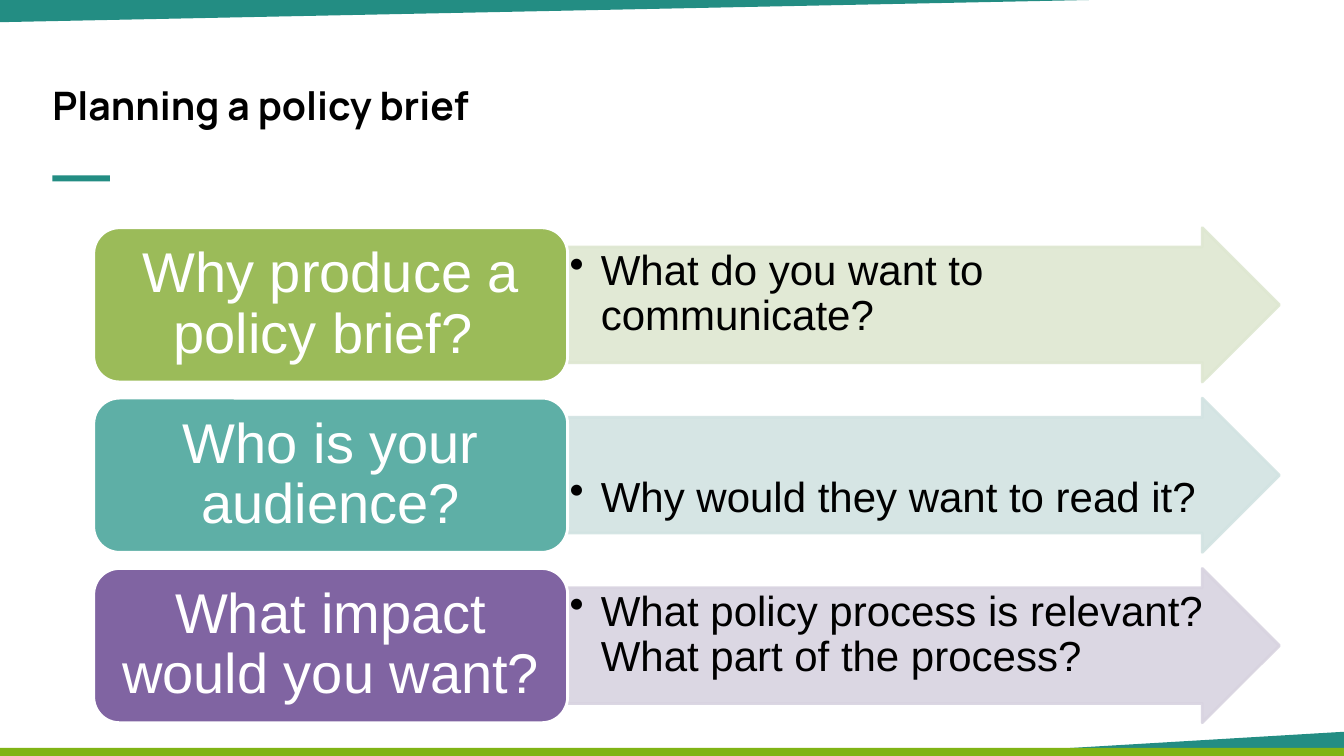
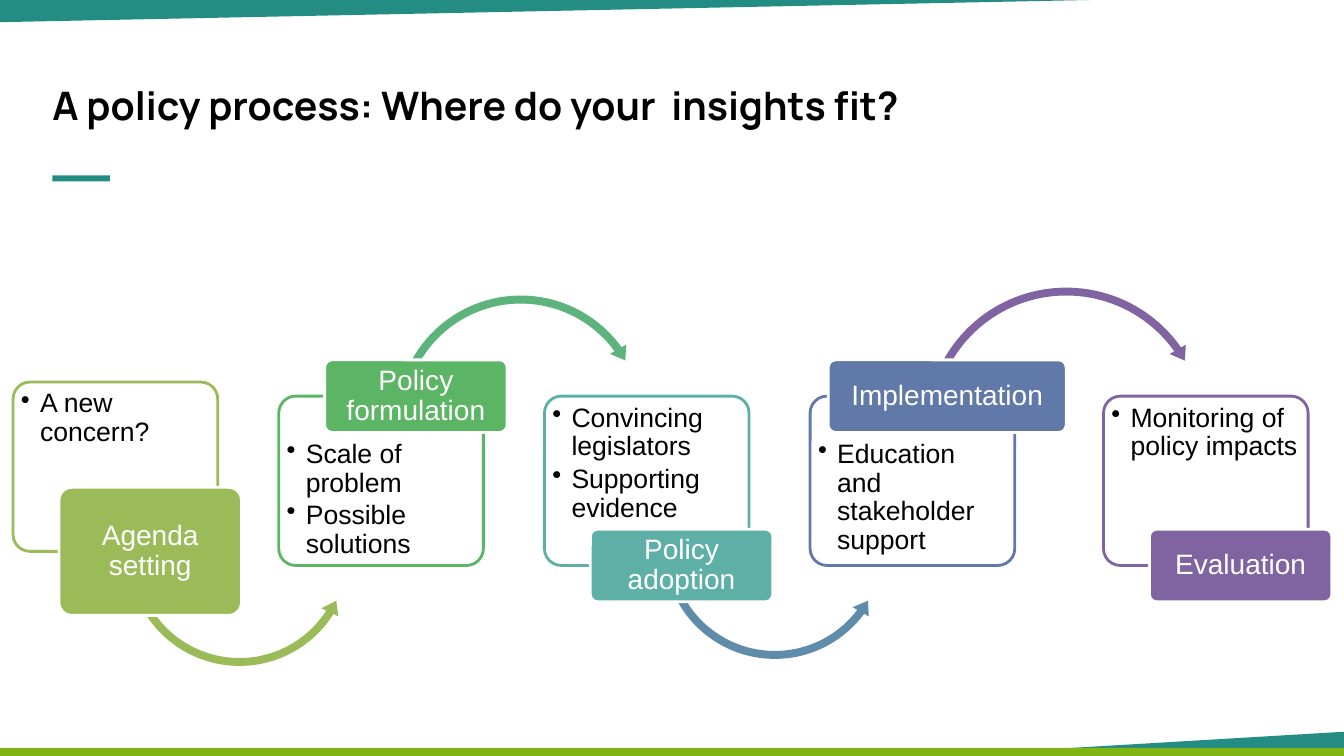
from dataclasses import dataclass

from lxml.etree import SubElement
from pptx import Presentation
from pptx.dml.color import RGBColor
from pptx.enum.shapes import MSO_SHAPE as Shape
from pptx.enum.text import MSO_ANCHOR as Anchor, MSO_AUTO_SIZE as AutoSize, PP_ALIGN as Align
from pptx.oxml.ns import qn
from pptx.util import Inches, Pt


@dataclass(frozen=True)
class Theme:
    teal: str = "238D83"
    band_green: str = "80B415"
    white: str = "FFFFFF"
    black: str = "000000"
    olive: str = "9BBB59"
    leaf: str = "5CB565"
    mint: str = "5CB37C"
    sea: str = "5EAFA6"
    steel: str = "608CAB"
    blue: str = "6179A8"
    purple: str = "8064A2"
    pale_olive: str = "DEE7D1"
    pale_sea: str = "D2E3E2"
    pale_purple: str = "D8D3E0"
    title_font: str = "Manrope"
    body_font: str = "Arial"
    title_size: int = 28
    question_size: int = 40
    answer_size: int = 30
    label_size: int = 20
    card_size: int = 19
    outline: int = 2


THEME = Theme()

PLANNING_TITLE = "Planning a policy brief"
# question, answer, top inset of the answer, question colour, arrow colour
QUESTIONS = [
    ("Why produce a policy brief? ", "What do you want to communicate?", 0.02,
     THEME.olive, THEME.pale_olive),
    ("Who is your audience?", "Why would they want to read it?", 0.58,
     THEME.sea, THEME.pale_sea),
    ("What impact would you want?",
     "What policy process is relevant? What part of the process?", 0.02,
     THEME.purple, THEME.pale_purple),
]

PROCESS_TITLE = "A policy process: Where do your  insights fit?"
# label, bullets, colour, card top, label at top of card, label width, label height
STAGES = [
    ("Agenda setting", ["A new concern?"], THEME.olive, 3.79, False, 1.81, 1.27),
    ("Policy formulation", ["Scale of problem", "Possible solutions"],
     THEME.leaf, 3.93, True, 1.81, 0.72),
    ("Policy adoption", ["Convincing legislators", "Supporting evidence"],
     THEME.sea, 3.93, False, 1.81, 0.72),
    ("Implementation", ["Education and stakeholder support"],
     THEME.blue, 3.93, True, 2.36, 0.72),
    ("Evaluation", ["Monitoring of policy impacts"],
     THEME.purple, 3.93, False, 1.81, 0.72),
]
# One arrow after each stage but the last: left, top, size, colour,
# then band thickness, head angle, end angle, start angle, head width
ARROWS = [
    (1.22, 4.35, 2.31, THEME.olive, (0.034, 7.07, 32.41, 146.16, 0.04)),
    (3.88, 2.88, 2.57, THEME.mint, (0.031, 6.32, 324.09, 209.59, 0.036)),
    (6.53, 4.28, 2.31, THEME.steel, (0.034, 7.09, 36.68, 150.41, 0.04)),
    (9.13, 2.8, 2.89, THEME.purple, (0.027, 5.57, 324.84, 209.59, 0.032)),
]
ANGLE_UNIT = 0.6  # adjustment value of one degree


def paint(shape, fill, line=None):
    shape.shadow.inherit = False
    shape.fill.solid()
    shape.fill.fore_color.rgb = RGBColor.from_string(fill)
    if line:
        shape.line.color.rgb = RGBColor.from_string(line)
        shape.line.width = Pt(THEME.outline)
    else:
        shape.line.fill.background()


def add_shape(slide, kind, box, fill, line=None, adjustments=()):
    shape = slide.shapes.add_shape(kind, *map(Inches, box))
    for index, value in enumerate(adjustments):
        shape.adjustments[index] = value
    paint(shape, fill, line)
    return shape


def add_polygon(slide, points, fill):
    start, *others = [(Inches(x), Inches(y)) for x, y in points]
    builder = slide.shapes.build_freeform(*start)
    builder.add_line_segments(others, close=True)
    shape = builder.convert_to_shape()
    paint(shape, fill)
    return shape


def set_opacity(shape, percent):
    for color in shape.element.spPr.iter(qn("a:srgbClr")):
        SubElement(color, qn("a:alpha"), val=str(percent * 1000))


def style_run(run, font, size, color, bold=False):
    run.font.name = font
    run.font.size = Pt(size)
    run.font.bold = bold
    run.font.color.rgb = RGBColor.from_string(color)


def write(shape, lines, size, color, insets, bullet_indent=None):
    """Fill a shape with centred text, or with a top-aligned list if bullet_indent is set."""
    frame = shape.text_frame
    frame.word_wrap = True
    frame.margin_left, frame.margin_top, frame.margin_right, frame.margin_bottom = map(
        Inches, insets)
    frame.vertical_anchor = Anchor.TOP if bullet_indent else Anchor.MIDDLE
    frame.text = "\n".join(lines)
    for paragraph in frame.paragraphs:
        paragraph.alignment = Align.LEFT if bullet_indent else Align.CENTER
        paragraph.line_spacing = 0.9
        if bullet_indent:
            paragraph.space_after = Pt(size * 0.15)
            properties = paragraph._p.get_or_add_pPr()
            properties.set("marL", str(Inches(bullet_indent)))
            properties.set("indent", str(-Inches(bullet_indent)))
            SubElement(properties, qn("a:buChar"), char="•")
        for run in paragraph.runs:
            style_run(run, THEME.body_font, size, color)


def add_titled_slide(presentation, layout, title):
    slide = presentation.slides.add_slide(layout)
    frame = slide.shapes.title.text_frame
    frame.text = title
    frame.word_wrap = True
    frame.auto_size = AutoSize.NONE
    frame.vertical_anchor = Anchor.MIDDLE
    frame.margin_left = frame.margin_right = Inches(0.13)
    frame.margin_top = frame.margin_bottom = Inches(0.07)
    paragraph = frame.paragraphs[0]
    paragraph.alignment = Align.LEFT
    style_run(paragraph.runs[0], THEME.title_font, THEME.title_size, THEME.black, bold=True)
    return slide


def place_title(layout):
    title = layout.placeholders[0]
    title.left, title.top, title.width, title.height = map(Inches, (0.39, 0.74, 9.45, 0.61))


def decorate_layout(layout, slide):
    """Draw the bands and the accent bar on a slide, then move them to its layout."""
    decorations = [
        add_polygon(slide, [(9.96, 7.46), (13.33, 7.46), (13.33, 7.26)], THEME.teal),
        add_shape(slide, Shape.RECTANGLE, (0, 7.42, 13.33, 0.08), THEME.band_green),
        add_polygon(slide, [(0, 0), (10.8, 0), (0, 0.22)], THEME.teal),
        add_shape(slide, Shape.RECTANGLE, (0.52, 1.74, 0.57, 0.06), THEME.teal),
    ]
    for number, shape in enumerate(decorations, start=101):
        shape.element.nvSpPr.cNvPr.set("id", str(number))
        layout.shapes.element.append(shape.element)


def draw_questions(slide):
    left, top, height, pitch = 0.93, 2.26, 1.53, 1.69
    question_width, arrow_width = 4.7, 7.06
    for row, (question, answer, answer_inset, color, pale) in enumerate(QUESTIONS):
        y = top + row * pitch
        arrow = add_shape(slide, Shape.RIGHT_ARROW,
                          (left + question_width, y, arrow_width, height),
                          pale, pale, (0.75, 0.5))
        set_opacity(arrow, 90)
        write(arrow, [answer], THEME.answer_size, THEME.black,
              (0.02, answer_inset, 0.02, 0.02), bullet_indent=0.31)
        box = add_shape(slide, Shape.ROUNDED_RECTANGLE,
                        (left, y, question_width, height), color, THEME.white)
        write(box, [question], THEME.question_size, THEME.white, (0.17, 0.08, 0.17, 0.08))


def draw_turn_arrow(slide, kind, left, top, size, color, geometry):
    thickness, *angles, head_width = geometry
    adjustments = [thickness, *(angle * ANGLE_UNIT for angle in angles), head_width]
    add_shape(slide, kind, (left, top, size, size), color, adjustments=adjustments)


def draw_process(slide):
    card_width, card_height, corner = 2.03, 1.68, (0.1,)
    label_center, gap = 1.36, 0.37
    left = 0.13
    for index, (label, bullets, color, top, label_on_top, width, height) in enumerate(STAGES):
        card = add_shape(slide, Shape.ROUNDED_RECTANGLE,
                         (left, top, card_width, card_height), THEME.white, color, corner)
        set_opacity(card, 100)
        write(card, bullets, THEME.card_size, THEME.black,
              (0.03, 0.39 if label_on_top else 0.03, 0.03, 0.03), bullet_indent=0.19)
        if index < len(ARROWS):
            kind = Shape.CIRCULAR_ARROW if label_on_top else Shape.LEFT_CIRCULAR_ARROW
            draw_turn_arrow(slide, kind, *ARROWS[index])
        label_left = left + label_center - width / 2
        edge = top if label_on_top else top + card_height
        tag = add_shape(slide, Shape.ROUNDED_RECTANGLE,
                        (label_left, edge - height / 2, width, height),
                        color, THEME.white, corner)
        write(tag, [label], THEME.label_size, THEME.white, (0.04, 0.03, 0.04, 0.03))
        left = label_left + width + gap


def main():
    presentation = Presentation()
    presentation.slide_width, presentation.slide_height = Inches(13.33), Inches(7.5)
    layout = presentation.slide_layouts.get_by_name("Title Only")
    place_title(layout)

    planning = add_titled_slide(presentation, layout, PLANNING_TITLE)
    decorate_layout(layout, planning)
    draw_questions(planning)

    process = add_titled_slide(presentation, layout, PROCESS_TITLE)
    draw_process(process)

    presentation.save("out.pptx")


if __name__ == "__main__":
    main()
